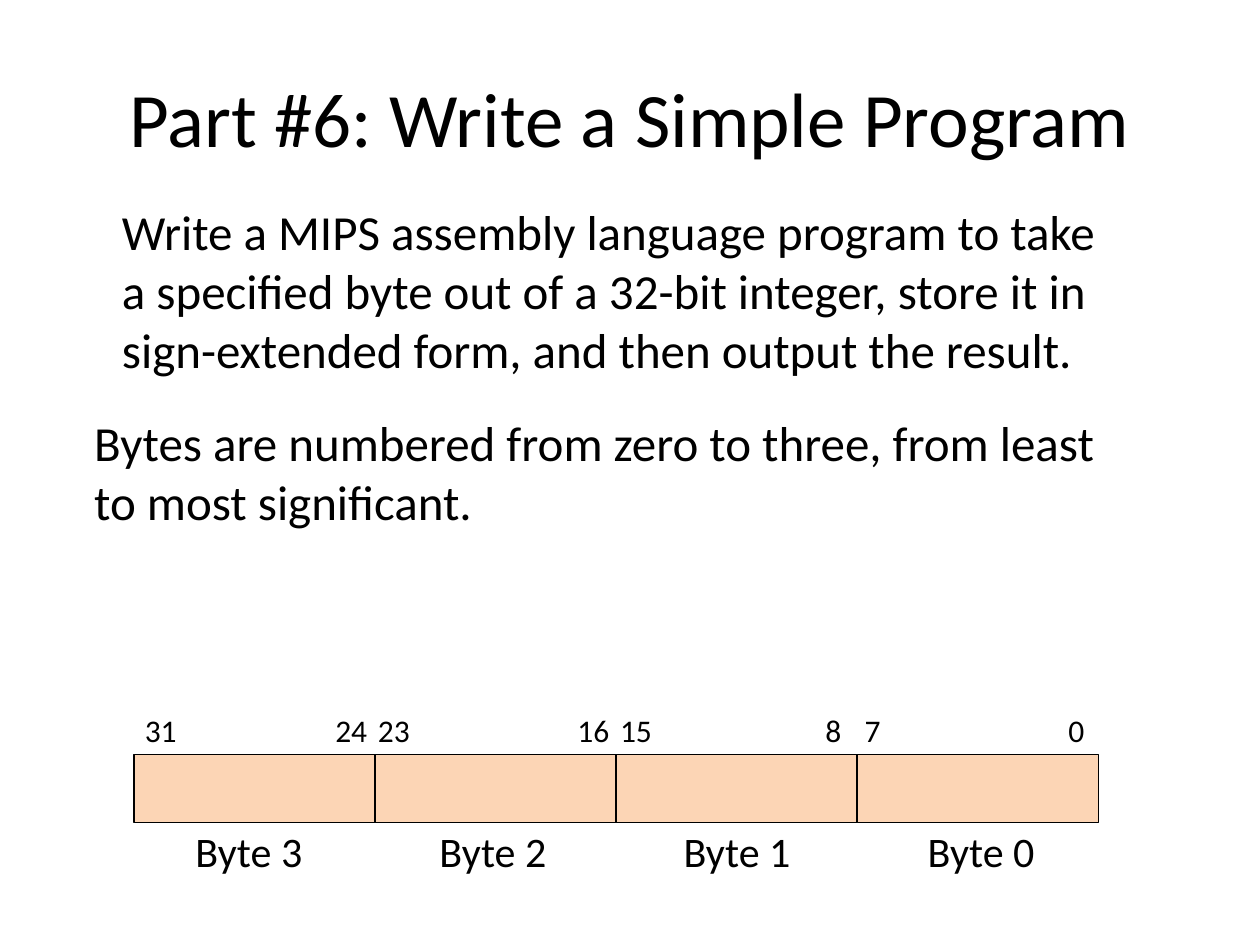
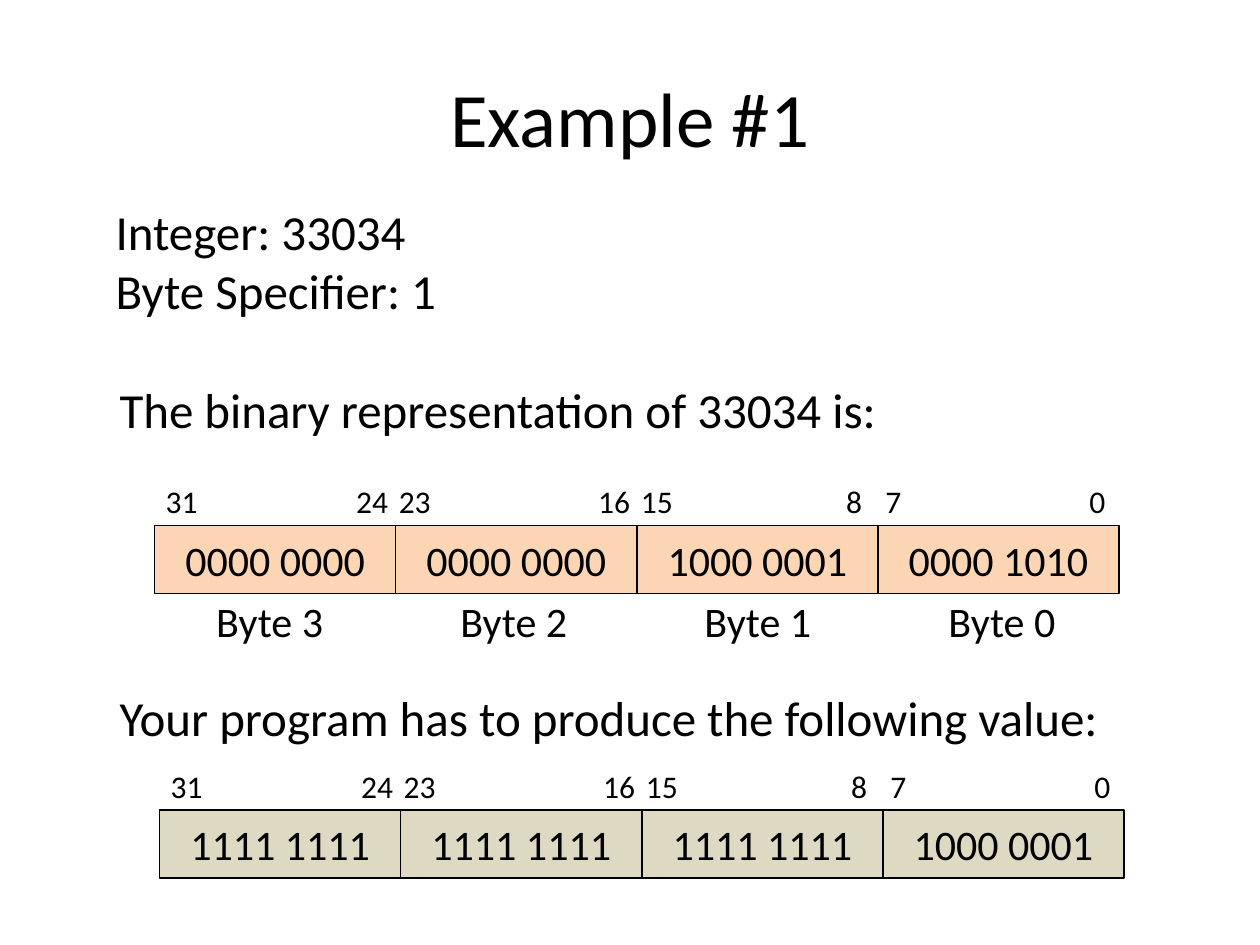
from dataclasses import dataclass

from pptx import Presentation
from pptx.dml.color import RGBColor
from pptx.enum.shapes import MSO_SHAPE
from pptx.enum.text import MSO_ANCHOR, MSO_AUTO_SIZE, PP_ALIGN
from pptx.util import Cm, Pt

RECT = MSO_SHAPE.RECTANGLE
MIDDLE = MSO_ANCHOR.MIDDLE
GROW = MSO_AUTO_SIZE.SHAPE_TO_FIT_TEXT
LEFT, CENTER = PP_ALIGN.LEFT, PP_ALIGN.CENTER


@dataclass(frozen=True)
class Theme:
    font: str = "Calibri"
    ink: RGBColor = RGBColor(0x00, 0x00, 0x00)
    peach: RGBColor = RGBColor(0xFC, 0xD5, 0xB5)
    sand: RGBColor = RGBColor(0xDD, 0xD9, 0xC3)
    title: int = 44
    body: int = 28
    byte: int = 24
    bit: int = 18


THEME = Theme()

# Content: text blocks hold left, top, width, height (cm), then lines;
# registers hold left and top of the cells, fill, values, named bytes or not
SLIDES = [
    {
        "title": "Part #6: Write a Simple Program",
        "texts": [
            (2.21, 3.94, 20.24, 3.81, [
                "Write a MIPS assembly language program to take",
                "a specified byte out of a 32-bit integer, store it in",
                "sign-extended form, and then output the result.",
            ]),
            (1.65, 8.2, 20.8, 2.64, [
                "Bytes are numbered from zero to three, from least",
                "to most significant.",
            ]),
        ],
        "regs": [(2.7, 15.21, THEME.peach, [""] * 4, True)],
    },
    {
        "title": "Example #1",
        "texts": [
            (2.08, 3.94, 7.21, 2.64, ["Integer: 33034", "Byte Specifier: 1"]),
            (2.16, 7.52, 20.52, 1.45,
             ["The binary representation of 33034 is:"]),
            (2.16, 13.74, 20.52, 1.45,
             ["Your program has to produce the following value:"]),
        ],
        "regs": [
            (3.12, 10.59, THEME.peach,
             ["0000 0000", "0000 0000", "1000 0001", "0000 1010"], True),
            (3.22, 16.33, THEME.sand,
             ["1111 1111", "1111 1111", "1111 1111", "1000 0001"], False),
        ],
    },
]

# Bit numbers and their distance from the left edge of a register
BITS = [("31", -0.03), ("24", 3.81), ("23", 4.67), ("16", 8.69),
        ("15", 9.55), ("8", 13.69), ("7", 14.48), ("0", 18.59)]
CELL_W, CELL_H = 4.86, 1.37
BIT_W, BIT_H = 1.16, 1.02
NAME_W, NAME_H, NAME_X, NAME_STEP = 2.87, 1.27, 0.99, 4.92


def write(frame, lines, size, align=LEFT):
    frame.text = "\n".join(lines)
    for para in frame.paragraphs:
        para.alignment = align
        font = para.font
        font.name, font.size = THEME.font, Pt(size)
        font.color.rgb = THEME.ink


def label(shapes, x, y, w, h, lines, size):
    box = shapes.add_textbox(Cm(x), Cm(y), Cm(w), Cm(h))
    frame = box.text_frame
    write(frame, lines, size)
    frame.word_wrap = False
    frame.auto_size = GROW


def cell(shapes, x, y, fill, value):
    box = shapes.add_shape(RECT, Cm(x), Cm(y), Cm(CELL_W), Cm(CELL_H))
    box.shadow.inherit = False
    box.fill.solid()
    box.fill.fore_color.rgb = fill
    box.line.color.rgb = THEME.ink
    box.line.width = Pt(0.75)
    if value:
        box.text_frame.vertical_anchor = MIDDLE
        write(box.text_frame, [value], THEME.byte, CENTER)


def register(slide, x, y, fill, values, named):
    shapes = slide.shapes.add_group_shape().shapes
    for i, value in enumerate(values):
        cell(shapes, x + i * CELL_W, y, fill, value)
    for bit, dx in BITS:
        label(shapes, x + dx, y - 1, BIT_W, BIT_H, [bit], THEME.bit)
    if named:
        for i in range(len(values)):
            label(shapes, x + NAME_X + i * NAME_STEP, y + 1.3, NAME_W, NAME_H,
                  [f"Byte {len(values) - 1 - i}"], THEME.byte)


def heading(slide, text):
    title = slide.shapes.title
    title.left, title.top = Cm(1.27), Cm(0.76)
    title.width, title.height = Cm(22.86), Cm(3.18)
    title.text_frame.vertical_anchor = MIDDLE
    write(title.text_frame, [text], THEME.title, CENTER)


def main():
    deck = Presentation()
    deck.slide_width, deck.slide_height = Cm(25.4), Cm(19.05)
    layout = deck.slide_layouts.get_by_name("Title Only")
    for page in SLIDES:
        slide = deck.slides.add_slide(layout)
        heading(slide, page["title"])
        for *place, lines in page["texts"]:
            label(slide.shapes, *place, lines, THEME.body)
        for reg in page["regs"]:
            register(slide, *reg)
    deck.save("out.pptx")


if __name__ == "__main__":
    main()
